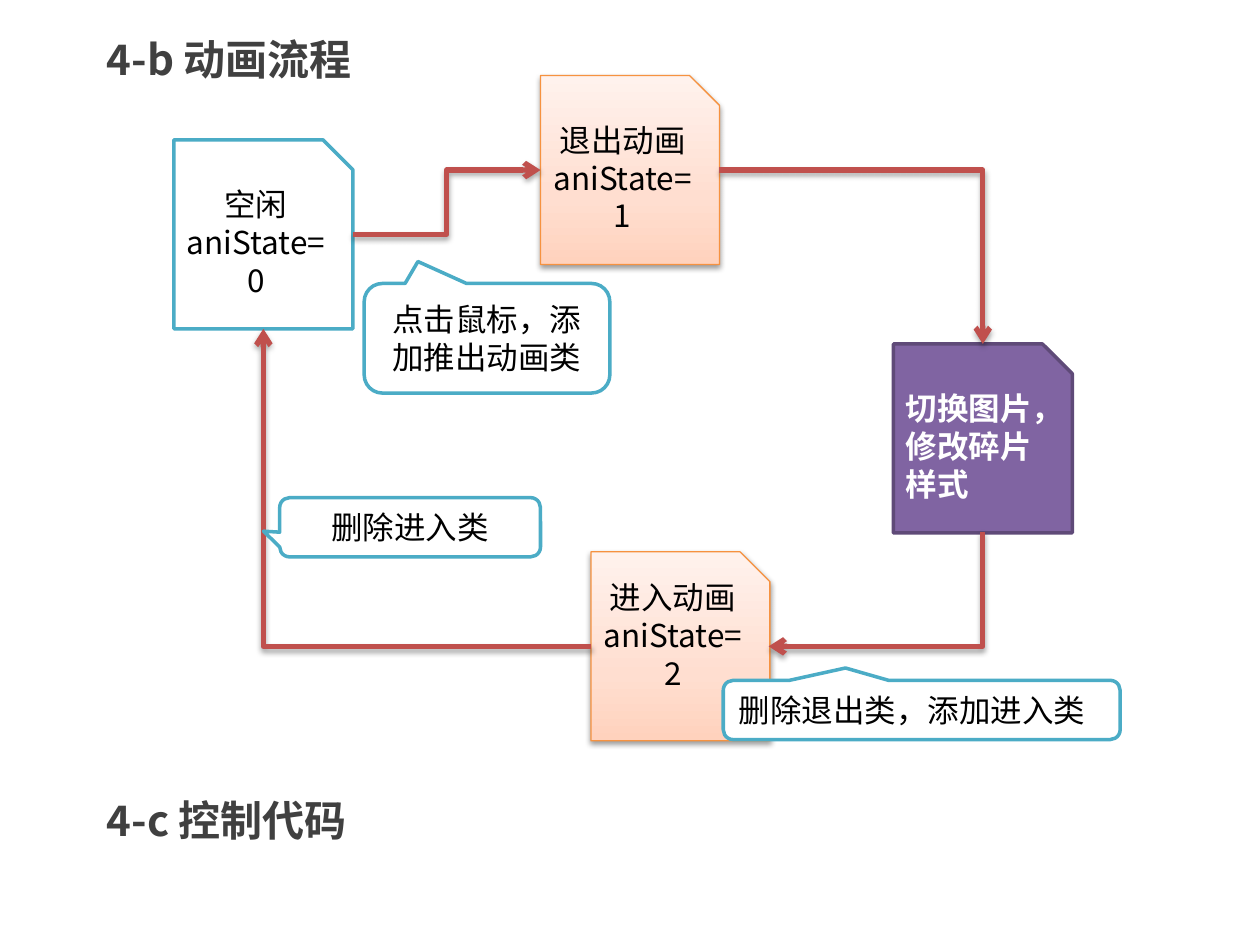
import copy
from typing import NamedTuple, Optional

import pptx
import pptx.dml.color
import pptx.enum.shapes
import pptx.enum.text
import pptx.oxml
import pptx.oxml.ns
import pptx.util

RGB = pptx.dml.color.RGBColor
SHAPE = pptx.enum.shapes.MSO_SHAPE
ALIGN = pptx.enum.text.PP_ALIGN
ANCHOR = pptx.enum.text.MSO_ANCHOR
Pt = pptx.util.Pt
qn = pptx.oxml.ns.qn

EMU_PER_PX = 9144  # 100 px to the inch
FONT = "Noto Sans CJK SC"
WHITE = RGB(0xFF, 0xFF, 0xFF)
BLACK = RGB(0x00, 0x00, 0x00)
GRAY = RGB(0x40, 0x40, 0x40)
TEAL = RGB(0x4B, 0xAC, 0xC6)
ORANGE = RGB(0xF6, 0x92, 0x40)
PURPLE = RGB(0x80, 0x64, 0xA2)
DARK_PURPLE = RGB(0x5F, 0x4A, 0x78)
RED = RGB(0xC0, 0x50, 0x4D)
PEACH_STOPS = (
    (0, RGB(0xFF, 0xD2, 0xBD)),
    (0.35, RGB(0xFF, 0xDE, 0xD0)),
    (1, RGB(0xFF, 0xF2, 0xED)),
)
STATE_W, STATE_H = 142, 150


class State(NamedTuple):
    x: int
    y: int
    text: str
    fill: Optional[RGB] = None  # None means the peach gradient
    line: RGB = ORANGE
    line_pt: float = 0.75
    color: RGB = BLACK
    bold: bool = False
    align: ALIGN = ALIGN.CENTER
    bottom: int = 5


class Arrow(NamedTuple):
    start: tuple[int, int]
    end: tuple[int, int]
    rotation: Optional[int] = 0  # None means an elbow with two bends


class Callout(NamedTuple):
    x: int
    y: int
    w: int
    h: int
    tip: tuple[float, float]
    text: str
    align: ALIGN = ALIGN.CENTER


STATES = (
    State(138, 111, "空闲\naniState= 0", WHITE, TEAL, 2),
    State(429, 60, "退出动画\naniState= 1"),
    State(709, 273, "切换图片，修改碎片样式", PURPLE, DARK_PURPLE, 2, WHITE, True, ALIGN.LEFT),
    State(469, 438, "进入动画\naniState= 2", bottom=35),
)
ARROWS = (
    Arrow((280, 186), (429, 135), None),
    Arrow((571, 135), (780, 273)),
    Arrow((780, 422), (610, 513), 90),
    Arrow((469, 513), (209, 261), 180),
)
CALLOUTS = (
    Callout(289, 225, 195, 87, (-0.281, -0.7), "点击鼠标，添加推出动画类"),
    Callout(574, 540, 315, 47, (-0.192, -0.709), "删除退出类，添加进入类", ALIGN.LEFT),
    Callout(222, 395, 207, 47, (-0.562, 0.067), "删除进入类"),
)
HEADINGS = ((2, "4-b 动画流程"), (606, "4-c 控制代码"))


def px(*values: float) -> list[int]:
    return [round(v * EMU_PER_PX) for v in values]


def write(s, text: str, *, size=18, color=BLACK, bold=False, align=ALIGN.CENTER,
          anchor=ANCHOR.MIDDLE, spacing=None, bottom=5) -> None:
    tf = s.text_frame
    tf.word_wrap = True
    tf.vertical_anchor = anchor
    tf.margin_bottom = px(bottom)[0]
    tf.text = text
    for p in tf.paragraphs:
        p.alignment = align
        p.line_spacing = spacing
        for r in p.runs:
            r.font.name = FONT
            r.font.size = Pt(size)
            r.font.bold = bold
            r.font.color.rgb = color
            ea = r.font._element.makeelement(qn("a:ea"), {"typeface": FONT})
            r.font._element.find(qn("a:latin")).addnext(ea)


def add_shadow(sp_pr, distance: int, alpha: int) -> None:
    for old in sp_pr.findall(qn("a:effectLst")):
        sp_pr.remove(old)
    sp_pr.append(pptx.oxml.parse_xml(
        f'<a:effectLst {pptx.oxml.ns.nsdecls("a")}>'
        f'<a:outerShdw blurRad="40000" dist="{distance}" dir="5400000" rotWithShape="0">'
        f'<a:srgbClr val="000000"><a:alpha val="{alpha}"/></a:srgbClr>'
        '</a:outerShdw></a:effectLst>'))


def fill_peach(s) -> None:
    s.fill.gradient()
    s.fill.gradient_angle = 90
    stops = s._element.spPr.find(qn("a:gradFill")).find(qn("a:gsLst"))
    stops.append(copy.deepcopy(stops[0]))
    for stop, (position, color) in zip(s.fill.gradient_stops, PEACH_STOPS):
        stop.position = position
        stop.color.rgb = color


def add_box(slide, kind, x, y, w, h, fill: Optional[RGB], line: RGB, line_pt: float):
    s = slide.shapes.add_shape(kind, *px(x, y, w, h))
    s.shadow.inherit = False
    if fill is None:
        fill_peach(s)
    else:
        s.fill.solid()
        s.fill.fore_color.rgb = fill
    s.line.color.rgb = line
    s.line.width = Pt(line_pt)
    return s


def add_state(slide, state: State) -> None:
    s = add_box(slide, SHAPE.SNIP_1_RECTANGLE, state.x, state.y, STATE_W, STATE_H,
                state.fill, state.line, state.line_pt)
    if state.fill is None:
        add_shadow(s._element.spPr, 20000, 38000)
    write(s, state.text, color=state.color, bold=state.bold, align=state.align,
          bottom=state.bottom)


def add_arrow(slide, arrow: Arrow) -> None:
    (x1, y1), (x2, y2) = arrow.start, arrow.end
    s = slide.shapes.add_connector(pptx.enum.shapes.MSO_CONNECTOR.ELBOW, *px(x1, y1, x2, y2))
    sp_pr = s._element.spPr
    if arrow.rotation is not None:
        # One bend: the frame is laid around the midpoint, then turned
        sp_pr.find(qn("a:prstGeom")).set("prst", "bentConnector2")
        for flip in ("flipH", "flipV"):
            sp_pr.find(qn("a:xfrm")).attrib.pop(flip, None)
        w, h = abs(x2 - x1), abs(y2 - y1)
        if arrow.rotation == 90:
            w, h = h, w
        s.left, s.top, s.width, s.height = px((x1 + x2 - w) / 2, (y1 + y2 - h) / 2, w, h)
        s.rotation = arrow.rotation
    s.line.color.rgb = RED
    s.line.width = Pt(3)
    ln = sp_pr.find(qn("a:ln"))
    ln.append(ln.makeelement(qn("a:tailEnd"), {"type": "arrow"}))
    add_shadow(sp_pr, 23000, 35000)


def add_callout(slide, callout: Callout) -> None:
    s = add_box(slide, SHAPE.ROUNDED_RECTANGULAR_CALLOUT, callout.x, callout.y,
                callout.w, callout.h, WHITE, TEAL, 2)
    s.adjustments[0], s.adjustments[1] = callout.tip
    write(s, callout.text, align=callout.align)


def add_heading(slide, y: int, text: str) -> None:
    s = slide.shapes.add_textbox(*px(75, y, 850, 131))
    write(s, text, size=24, color=GRAY, bold=True, align=ALIGN.LEFT,
          anchor=ANCHOR.TOP, spacing=1.5)


def main() -> None:
    prs = pptx.Presentation()
    prs.slide_width, prs.slide_height = px(1000, 750)
    slide = prs.slides.add_slide(prs.slide_layouts[6])

    # Animation states, the arrows between them, and their notes
    for state in STATES:
        add_state(slide, state)
    for arrow in ARROWS:
        add_arrow(slide, arrow)
    for callout in CALLOUTS:
        add_callout(slide, callout)

    # Section headings
    for y, text in HEADINGS:
        add_heading(slide, y, text)

    prs.save("out.pptx")


if __name__ == "__main__":
    main()
